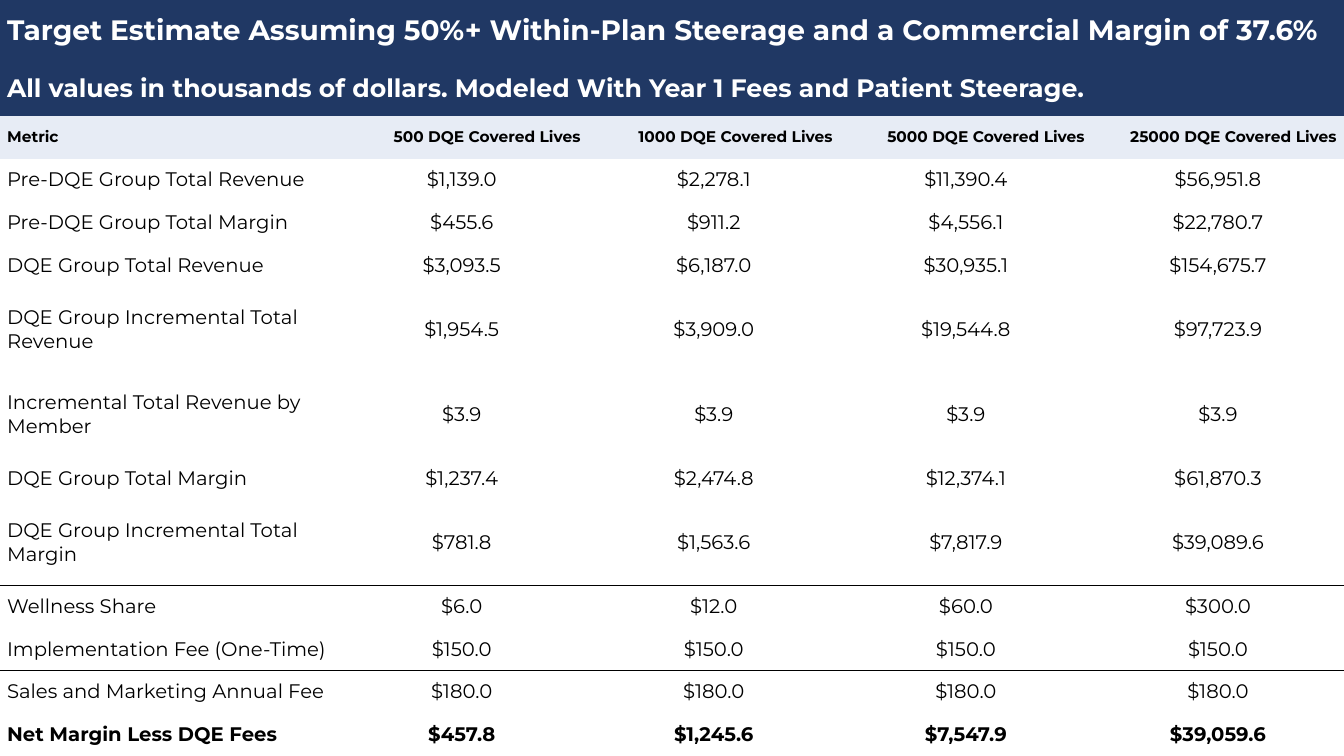
"""Build a one-slide table of target margin estimates by covered lives."""
from dataclasses import dataclass

from lxml import etree
from pptx import Presentation
from pptx import util as u
from pptx.dml.color import RGBColor
from pptx.enum import text
from pptx.oxml.ns import qn


@dataclass(frozen=True)
class Theme:
    """Colours, font and type sizes of the slide."""
    font: str = "Montserrat"
    navy: str = "203864"
    pale: str = "E7ECF5"
    white: str = "FFFFFF"
    black: str = "000000"
    title_size: int = 20
    subtitle_size: int = 18
    header_size: int = 11
    body_size: int = 14
    no_grid_style: str = "{2D5ABB26-0587-4C30-8999-92F81FD0307C}"


class SlideBuilder:
    """Hold the theme and the current slide, and add elements to it."""

    def __init__(self, deck, theme):
        """Start a blank slide."""
        self.theme = theme
        self.slide = deck.slides.add_slide(deck.slide_layouts[6])

    def table(self, column_widths, row_heights):
        """Add an unstyled table from the slide's top left corner."""
        frame = self.slide.shapes.add_table(
            len(row_heights), len(column_widths), 0, 0,
            u.Inches(sum(column_widths)), u.Inches(sum(row_heights)))
        grid = frame.table
        grid.first_row = grid.horz_banding = False
        style = frame._element.find(".//" + qn("a:tableStyleId"))
        style.text = self.theme.no_grid_style
        for column, width in zip(grid.columns, column_widths):
            column.width = u.Inches(width)
        for row, height in zip(grid.rows, row_heights):
            row.height = u.Inches(height)
        return grid

    def cell(self, cell, words, size, color, bold=False, fill=None,
             align=text.PP_ALIGN.LEFT):
        """Write and format one borderless table cell."""
        cell.text = words
        cell_format = {"vertical_anchor": text.MSO_ANCHOR.MIDDLE,
                       "margin_left": 0, "margin_right": 0,
                       "margin_top": 0, "margin_bottom": 0}
        for name, value in cell_format.items():
            setattr(cell, name, value)
        if fill:
            cell.fill.solid()
            cell.fill.fore_color.rgb = RGBColor.from_string(fill)
        else:
            cell.fill.background()
        for position, edge in enumerate(("a:lnL", "a:lnR", "a:lnT", "a:lnB")):
            border = etree.Element(qn(edge))
            etree.SubElement(border, qn("a:noFill"))
            cell._tc.get_or_add_tcPr().insert(position, border)
        paragraph = cell.text_frame.paragraphs[0]
        paragraph.alignment = align
        for side in ("marL", "marR"):
            paragraph._p.get_or_add_pPr().set(side, str(u.Inches(0.07)))
        font = paragraph.runs[0].font
        font_format = {"name": self.theme.font, "size": u.Pt(size), "bold": bold}
        for name, value in font_format.items():
            setattr(font, name, value)
        font.color.rgb = RGBColor.from_string(color)

    def rule(self, grid, row):
        """Draw a thin line under a table row."""
        for edge, index in (("a:lnB", row), ("a:lnT", row + 1)):
            for cell in grid.rows[index].cells:
                border = cell._tc.get_or_add_tcPr().find(qn(edge))
                border.remove(border[0])
                border.set("w", str(u.Pt(1)))
                fill = etree.SubElement(border, qn("a:solidFill"))
                etree.SubElement(fill, qn("a:srgbClr"), val=self.theme.black)


BANNERS = (
    "Target Estimate Assuming 50%+ Within-Plan Steerage and a Commercial Margin of 37.6%",
    "All values in thousands of dollars. Modeled With Year 1 Fees and Patient Steerage.",
)
HEADER = ("Metric", "500 DQE Covered Lives", "1000 DQE Covered Lives",
          "5000 DQE Covered Lives", "25000 DQE Covered Lives")
METRICS = (
    ("Pre-DQE Group Total Revenue", 1139.0, 2278.1, 11390.4, 56951.8),
    ("Pre-DQE Group Total Margin", 455.6, 911.2, 4556.1, 22780.7),
    ("DQE Group Total Revenue", 3093.5, 6187.0, 30935.1, 154675.7),
    ("DQE Group Incremental Total Revenue", 1954.5, 3909.0, 19544.8, 97723.9),
    ("Incremental Total Revenue by Member", 3.9, 3.9, 3.9, 3.9),
    ("DQE Group Total Margin", 1237.4, 2474.8, 12374.1, 61870.3),
    ("DQE Group Incremental Total Margin", 781.8, 1563.6, 7817.9, 39089.6),
    ("Wellness Share", 6.0, 12.0, 60.0, 300.0),
    ("Implementation Fee (One-Time)", 150.0, 150.0, 150.0, 150.0),
    ("Sales and Marketing Annual Fee", 180.0, 180.0, 180.0, 180.0),
    ("Net Margin Less DQE Fees", 457.8, 1245.6, 7547.9, 39059.6),
)
TALL_METRICS = ("DQE Group Incremental Total Revenue",
                "Incremental Total Revenue by Member",
                "DQE Group Incremental Total Margin")
RULED_METRICS = ("DQE Group Incremental Total Margin",
                 "Implementation Fee (One-Time)")


def main():
    """Build and save the slide."""
    theme = Theme()
    deck = Presentation()
    deck.slide_width, deck.slide_height = u.Inches(13.33), u.Inches(7.5)
    builder = SlideBuilder(deck, theme)

    banner_heights = [0.6, 0.55]
    row_units = [1] + [2 if metric[0] in TALL_METRICS else 1 for metric in METRICS]
    unit = (7.5 - sum(banner_heights)) / sum(row_units)
    estimate = builder.table([3.33] + [2.5] * 4,
                             banner_heights + [unit * units for units in row_units])

    banner_sizes = (theme.title_size, theme.subtitle_size)
    for row, (banner, size) in enumerate(zip(BANNERS, banner_sizes)):
        estimate.cell(row, 0).merge(estimate.cell(row, len(HEADER) - 1))
        builder.cell(estimate.cell(row, 0), banner, size, theme.white, True, theme.navy)

    for column, heading in enumerate(HEADER):
        align = text.PP_ALIGN.RIGHT if column else text.PP_ALIGN.LEFT
        builder.cell(estimate.cell(len(BANNERS), column), heading,
                     theme.header_size, theme.black, True, theme.pale, align)

    first_row = len(BANNERS) + 1
    for row, (metric, *amounts) in enumerate(METRICS, first_row):
        bold = metric == METRICS[-1][0]
        builder.cell(estimate.cell(row, 0), metric, theme.body_size, theme.black, bold)
        for column, amount in enumerate(amounts, 1):
            builder.cell(estimate.cell(row, column), f"${amount:,.1f}", theme.body_size,
                         theme.black, bold, align=text.PP_ALIGN.CENTER)

    for row, (metric, *_) in enumerate(METRICS, first_row):
        if metric in RULED_METRICS:
            builder.rule(estimate, row)

    deck.save("out.pptx")


if __name__ == "__main__":
    main()
